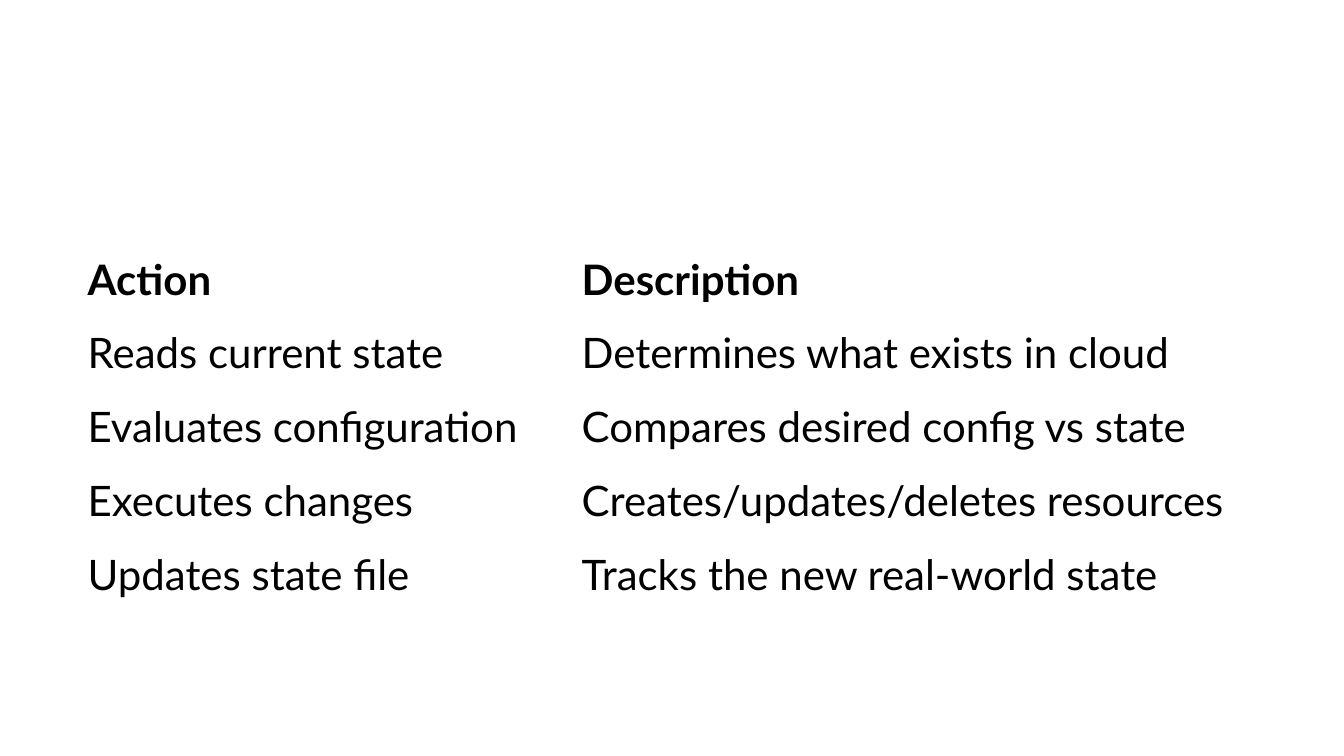
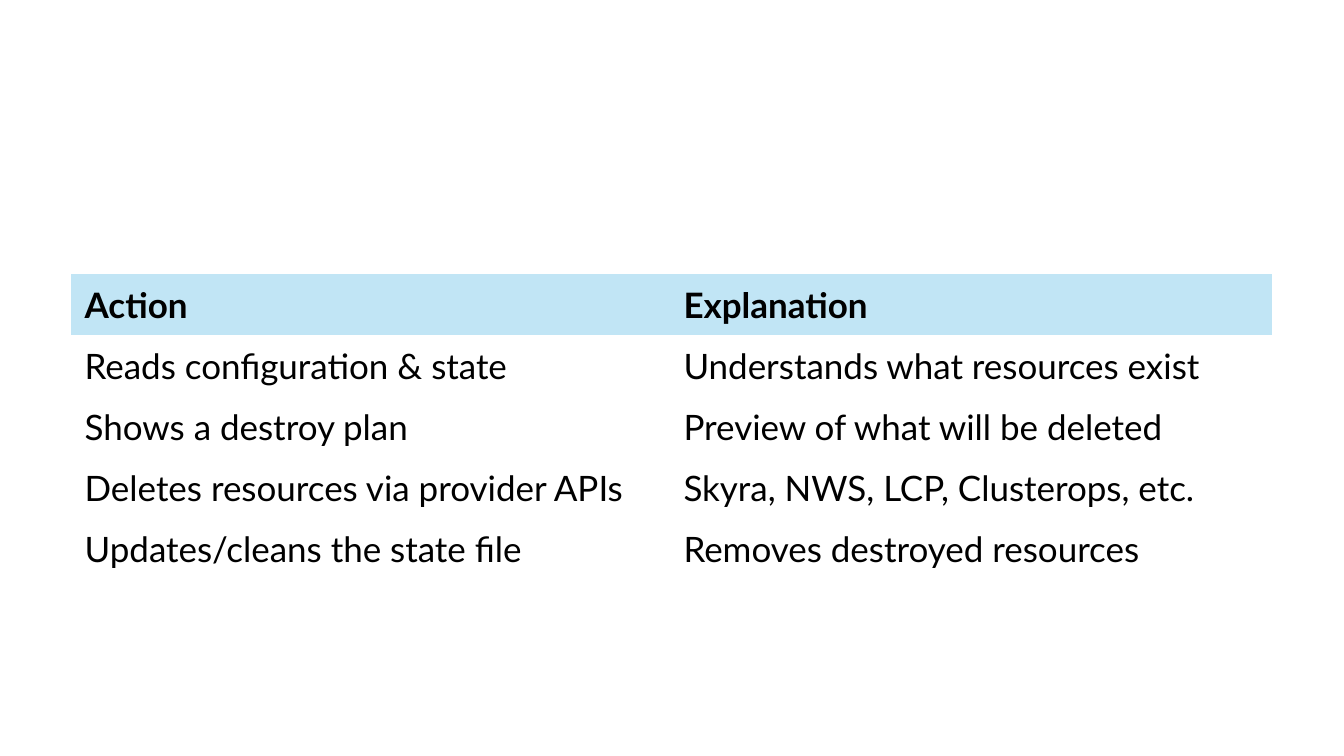
from dataclasses import dataclass

from pptx import Presentation
from pptx.dml.color import RGBColor
from pptx.enum.text import MSO_ANCHOR
from pptx.oxml.ns import qn
from pptx.presentation import Presentation as Deck
from pptx.table import _Cell as Cell
from pptx.util import Inches, Pt

BLACK = RGBColor(0x00, 0x00, 0x00)
WHITE = RGBColor(0xFF, 0xFF, 0xFF)
LIGHT_BLUE = RGBColor(0xC1, 0xE5, 0xF5)

FONT = "Lato"
PLAIN_STYLE = "{2D5ABB26-0587-4C30-8999-92F81FD0307C}"
TABLE_LEFT = 0.7


@dataclass(frozen=True)
class ActionTable:
    top: float
    height: float
    col_widths: tuple[float, float]
    margin_x: float
    margin_y: float
    size: int
    rows: tuple[tuple[str, str], ...]
    header_fill: RGBColor | None = None


TABLES = (
    ActionTable(
        top=2.4, height=3.66, col_widths=(4.9, 7.03),
        margin_x=0.17, margin_y=0.08, size=30,
        rows=(
            ("Action", "Description"),
            ("Reads current state", "Determines what exists in cloud"),
            ("Evaluates configuration", "Compares desired config vs state"),
            ("Executes changes", "Creates/updates/deletes resources"),
            ("Updates state file", "Tracks the new real-world state"),
        ),
    ),
    ActionTable(
        top=2.72, height=3.03, col_widths=(5.94, 5.98),
        margin_x=0.14, margin_y=0.07, size=25,
        rows=(
            ("Action", "Explanation"),
            ("Reads configuration & state", "Understands what resources exist"),
            ("Shows a destroy plan", "Preview of what will be deleted"),
            ("Deletes resources via provider APIs", "Skyra, NWS, LCP, Clusterops, etc."),
            ("Updates/cleans the state file", "Removes destroyed resources"),
        ),
        header_fill=LIGHT_BLUE,
    ),
)


def set_attrs(target: object, values: dict[str, object]) -> None:
    for name, value in values.items():
        setattr(target, name, value)


def fill_cell(cell: Cell, text: str, spec: ActionTable, header: bool) -> None:
    mx, my = Inches(spec.margin_x), Inches(spec.margin_y)
    set_attrs(cell, {
        "margin_left": mx, "margin_right": mx,
        "margin_top": my, "margin_bottom": my,
        "vertical_anchor": MSO_ANCHOR.MIDDLE,
    })
    if header and spec.header_fill is not None:
        cell.fill.solid()
        cell.fill.fore_color.rgb = spec.header_fill
    else:
        cell.fill.background()
    r = cell.text_frame.paragraphs[0].add_run()
    r.text = text
    set_attrs(r.font, {"name": FONT, "size": Pt(spec.size), "bold": header})
    r.font.color.rgb = BLACK


def add_table_slide(prs: Deck, spec: ActionTable) -> None:
    s = prs.slides.add_slide(prs.slide_layouts[6])
    s.background.fill.solid()
    s.background.fill.fore_color.rgb = WHITE
    table = s.shapes.add_table(
        len(spec.rows), len(spec.col_widths),
        Inches(TABLE_LEFT), Inches(spec.top),
        Inches(sum(spec.col_widths)), Inches(spec.height),
    ).table
    set_attrs(table, {"first_row": False, "horz_banding": False})
    table._tbl.tblPr.find(qn("a:tableStyleId")).text = PLAIN_STYLE
    for column, width in zip(table.columns, spec.col_widths):
        column.width = Inches(width)
    for i, texts in enumerate(spec.rows):
        for j, text in enumerate(texts):
            fill_cell(table.cell(i, j), text, spec, header=i == 0)


def main() -> None:
    prs = Presentation()
    set_attrs(prs, {"slide_width": Inches(13.33), "slide_height": Inches(7.5)})
    for spec in TABLES:
        add_table_slide(prs, spec)
    prs.save("out.pptx")


if __name__ == "__main__":
    main()
